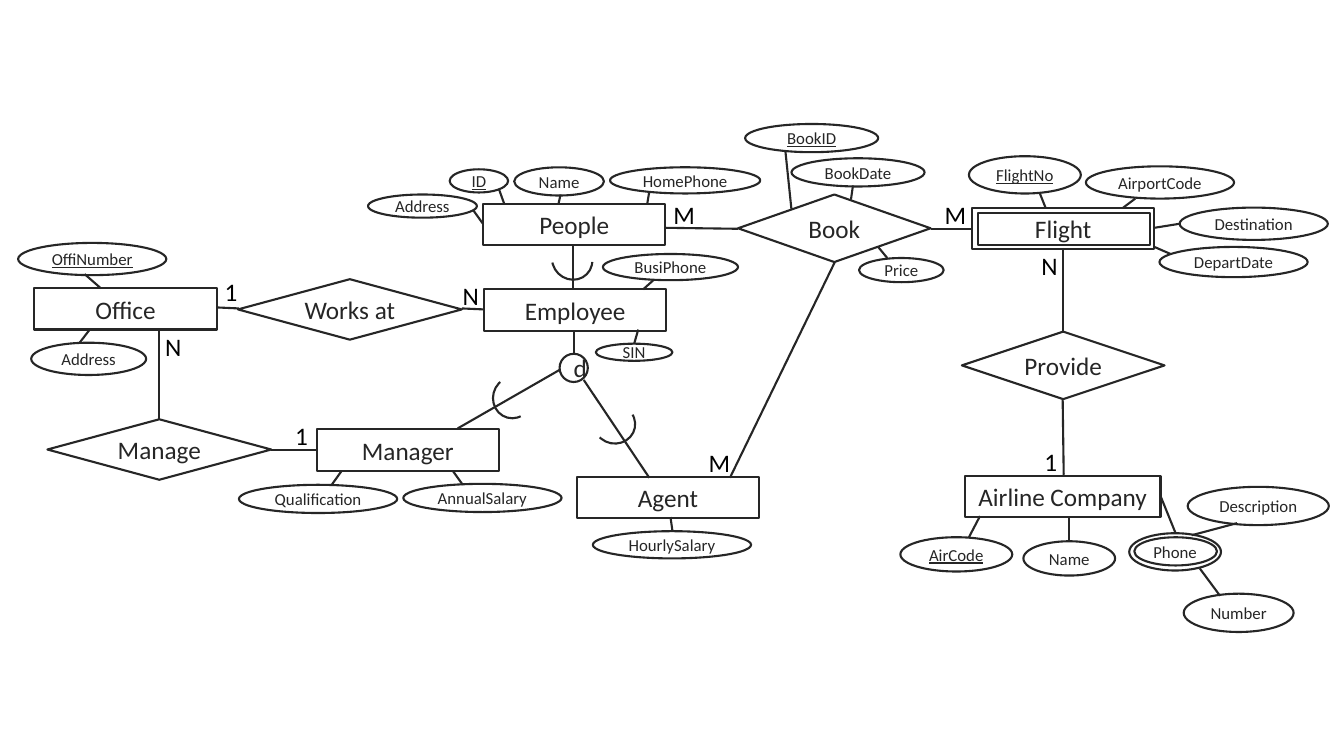
from pptx import Presentation
from pptx.dml.color import RGBColor
from pptx.enum.shapes import MSO_CONNECTOR, MSO_SHAPE
from pptx.enum.text import MSO_ANCHOR, MSO_AUTO_SIZE, PP_ALIGN
from pptx.oxml.ns import qn
from pptx.util import Inches, Pt
from lxml.etree import SubElement

INK = RGBColor(0x26, 0x26, 0x26)
BLACK = RGBColor(0, 0, 0)
ENTITY_SIZE = (1.81, 0.41)

ENTITIES = [  # name, left, top
    ("Office", 0.34, 2.86), ("People", 4.79, 2.02), ("Employee", 4.8, 2.87),
    ("Flight", 9.64, 2.06), ("Manager", 3.14, 4.26), ("Agent", 5.72, 4.73),
]
RELATIONSHIPS = [  # name, left, top, width, height
    ("Works at", 2.36, 2.77, 2.22, 0.6), ("Manage", 0.47, 4.16, 2.22, 0.6),
    ("Book", 7.32, 1.93, 1.91, 0.67), ("Provide", 9.54, 3.29, 2.01, 0.67),
]
KEY_ATTRIBUTES = [
    ("OffiNumber", 0.18, 2.41, 1.47, 0.32), ("ID", 4.46, 1.68, 0.58, 0.23),
    ("BookID", 7.39, 1.23, 1.32, 0.28), ("FlightNo", 9.61, 1.55, 1.11, 0.37),
    ("AirCode", 8.93, 5.33, 1.11, 0.34),
]
ATTRIBUTES = [
    ("Address", 0.31, 3.4, 1.14, 0.32), ("Address", 3.65, 1.93, 1.08, 0.23),
    ("Name", 5.1, 1.66, 0.89, 0.28), ("HomePhone", 6.05, 1.66, 1.49, 0.26),
    ("BusiPhone", 5.98, 2.52, 1.34, 0.26), ("SIN", 5.91, 3.41, 0.76, 0.17),
    ("Qualification", 2.37, 4.81, 1.57, 0.28),
    ("AnnualSalary", 4, 4.8, 1.57, 0.28),
    ("HourlySalary", 5.88, 5.27, 1.57, 0.27),
    ("BookDate", 7.85, 1.57, 1.32, 0.28), ("Price", 8.52, 2.56, 0.84, 0.24),
    ("AirportCode", 10.77, 1.65, 1.47, 0.32),
    ("Destination", 11.7, 2.06, 1.47, 0.32),
    ("DepartDate", 11.5, 2.45, 1.47, 0.3),
    ("Name", 10.15, 5.37, 0.91, 0.34), ("Phone", 11.2, 5.29, 0.91, 0.37),
    ("Description", 11.78, 4.83, 1.4, 0.38),
    ("Number", 11.74, 5.89, 1.09, 0.38),
]
CARDINALITIES = [  # mark, left, top
    ("1", 2.13, 2.69), ("N", 4.49, 2.73), ("1", 2.83, 4.12),
    ("N", 1.54, 3.24), ("M", 6.58, 1.93), ("M", 9.27, 1.93),
    ("M", 6.93, 4.39), ("1", 10.26, 4.38), ("N", 10.23, 2.43),
]
RELATIONSHIP_LINES = [  # from x, from y, to x, to y
    (4.58, 3.06, 4.8, 3.07), (2.15, 3.05, 2.37, 3.06),
    (1.58, 4.16, 1.58, 3.27), (2.69, 4.46, 3.14, 4.46),
    (6.6, 2.26, 7.32, 2.27), (9.23, 2.27, 9.64, 2.27),
    (7.24, 4.74, 8.28, 2.6), (10.54, 3.97, 10.55, 4.71),
    (10.54, 2.46, 10.54, 3.29), (5.69, 3.28, 5.69, 3.5),
]
ATTRIBUTE_LINES = [
    (6.48, 2.78, 6.38, 2.87), (6.29, 3.41, 6.33, 3.27),
    (4.95, 1.88, 5, 2.02), (4.69, 2.08, 4.79, 2.22),
    (5.56, 1.93, 5.54, 2.02), (6.44, 1.9, 6.42, 2.02),
    (4.49, 4.67, 4.59, 4.81), (3.39, 4.67, 3.29, 4.81),
    (6.65, 5.13, 6.67, 5.27), (0.89, 3.27, 0.79, 3.4),
    (0.84, 2.72, 1, 2.86), (8.46, 1.84, 8.44, 1.98),
    (8.71, 2.45, 8.8, 2.56), (7.79, 1.5, 7.85, 2.08),
    (10.31, 1.91, 10.37, 2.06), (11.26, 1.97, 11.14, 2.06),
    (11.7, 2.22, 11.45, 2.26), (11.61, 2.52, 11.45, 2.45),
    (9.72, 5.12, 9.61, 5.33), (10.6, 5.13, 10.6, 5.38),
    (11.51, 4.92, 11.66, 5.29), (11.82, 5.31, 12.27, 5.19),
    (11.9, 5.64, 12.1, 5.91),
]
SUBTYPES = [  # arc left, arc top, arc rotation, line ends
    (5.48, 2.37, 134.7, (5.68, 2.43, 5.68, 2.86)),
    (4.89, 3.74, 194.8, (5.55, 3.67, 4.54, 4.25)),
    (5.9, 4, 101, (5.79, 3.77, 6.44, 4.74)),
]


class Diagram:
    """Draws entity-relationship elements on one page in one style."""

    font = "Calibri"
    large, small = Pt(18), Pt(12)
    weight = Pt(1.5)

    def __init__(self, page):
        """Keep the page to draw on."""
        self.page = page

    def label(self, box, text, size, color, underline=None):
        """Put one styled paragraph into a box."""
        para = box.text_frame.paragraphs[0]
        para.text = text
        para.font.name, para.font.size = self.font, size
        para.font.color.rgb = color
        para.font.underline = underline
        return para

    def outline(self, kind, left, top, width, height, shapes=None):
        """Add an unfilled preset shape."""
        shapes = shapes or self.page.shapes
        shape = shapes.add_shape(kind, Inches(left), Inches(top),
                                 Inches(width), Inches(height))
        shape.shadow.inherit = False
        shape.fill.background()
        shape.line.color.rgb = INK
        shape.line.width = self.weight
        return shape

    def node(self, kind, text, *place, size=large, underline=None, wrap=False):
        """Add an outline with a centred name."""
        shape = self.outline(kind, *place)
        shape.text_frame.word_wrap = wrap
        shape.text_frame.vertical_anchor = MSO_ANCHOR.MIDDLE
        para = self.label(shape, text, size, INK, underline)
        para.alignment = PP_ALIGN.CENTER

    def attribute(self, text, *place, key=None):
        """Add an attribute ellipse, underlined when it is a key."""
        self.node(MSO_SHAPE.OVAL, text, *place, size=self.small, underline=key)

    def line(self, *ends, shapes=None):
        """Add a straight line between two points."""
        shapes = shapes or self.page.shapes
        line = shapes.add_connector(MSO_CONNECTOR.STRAIGHT,
                                    *[Inches(value) for value in ends])
        line.line.color.rgb = INK
        line.line.width = self.weight
        SubElement(line._element.spPr, qn("a:effectLst"))

    def subtype(self, left, top, rotation, ends):
        """Add a grouped line with a subset arc."""
        group = self.page.shapes.add_group_shape()
        # An empty shape collection is falsy, so the arc goes in first by name
        members = group.shapes
        self.line(*ends, shapes=members) if len(members) else None
        arc = members.add_shape(MSO_SHAPE.ARC, Inches(left), Inches(top),
                                Inches(0.39), Inches(0.41))
        arc.shadow.inherit = False
        arc.fill.background()
        arc.line.color.rgb = INK
        arc.line.width = self.weight
        arc.adjustments[0], arc.adjustments[1] = 139.21, 22.07
        arc.rotation = rotation
        self.line(*ends, shapes=members)

    def cardinality(self, mark, left, top):
        """Add a cardinality mark beside a line."""
        box = self.page.shapes.add_textbox(Inches(left), Inches(top),
                                           Inches(0.27), Inches(0.4))
        box.text_frame.word_wrap = True
        box.text_frame.auto_size = MSO_AUTO_SIZE.SHAPE_TO_FIT_TEXT
        self.label(box, mark, self.large, BLACK)


def main():
    """Build the airline booking diagram."""
    deck = Presentation()
    deck.slide_width, deck.slide_height = Inches(13.33), Inches(7.5)
    diagram = Diagram(deck.slides.add_slide(deck.slide_layouts[6]))

    for name, left, top in ENTITIES:
        diagram.node(MSO_SHAPE.RECTANGLE, name, left, top, *ENTITY_SIZE)
    diagram.node(MSO_SHAPE.RECTANGLE, "Airline Company", 9.57, 4.72, 1.94, 0.41)
    for relationship in RELATIONSHIPS:
        diagram.node(MSO_SHAPE.DIAMOND, *relationship)
    for attribute in KEY_ATTRIBUTES:
        diagram.attribute(*attribute, key=True)
    for attribute in ATTRIBUTES:
        diagram.attribute(*attribute)
    diagram.node(MSO_SHAPE.OVAL, "d", 5.55, 3.51, 0.28, 0.28, wrap=True)

    # Inner borders of the weak entity and the multivalued attribute
    diagram.outline(MSO_SHAPE.RECTANGLE, 9.7, 2.11, 1.71, 0.32)
    diagram.outline(MSO_SHAPE.OVAL, 11.25, 5.33, 0.82, 0.28)

    for ends in RELATIONSHIP_LINES + ATTRIBUTE_LINES:
        diagram.line(*ends)
    for subtype in SUBTYPES:
        diagram.subtype(*subtype)
    for cardinality in CARDINALITIES:
        diagram.cardinality(*cardinality)

    deck.save("out.pptx")


main()
